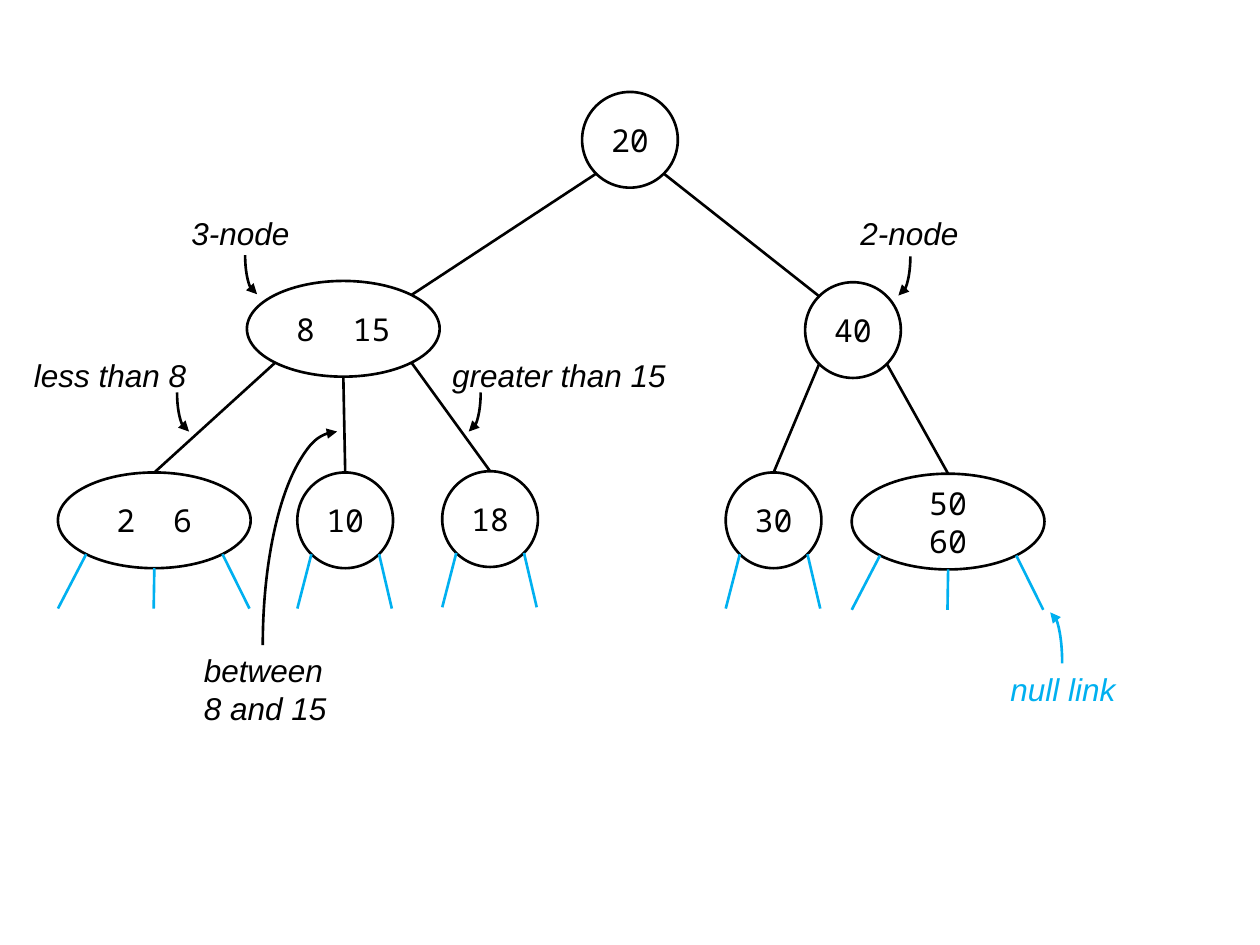
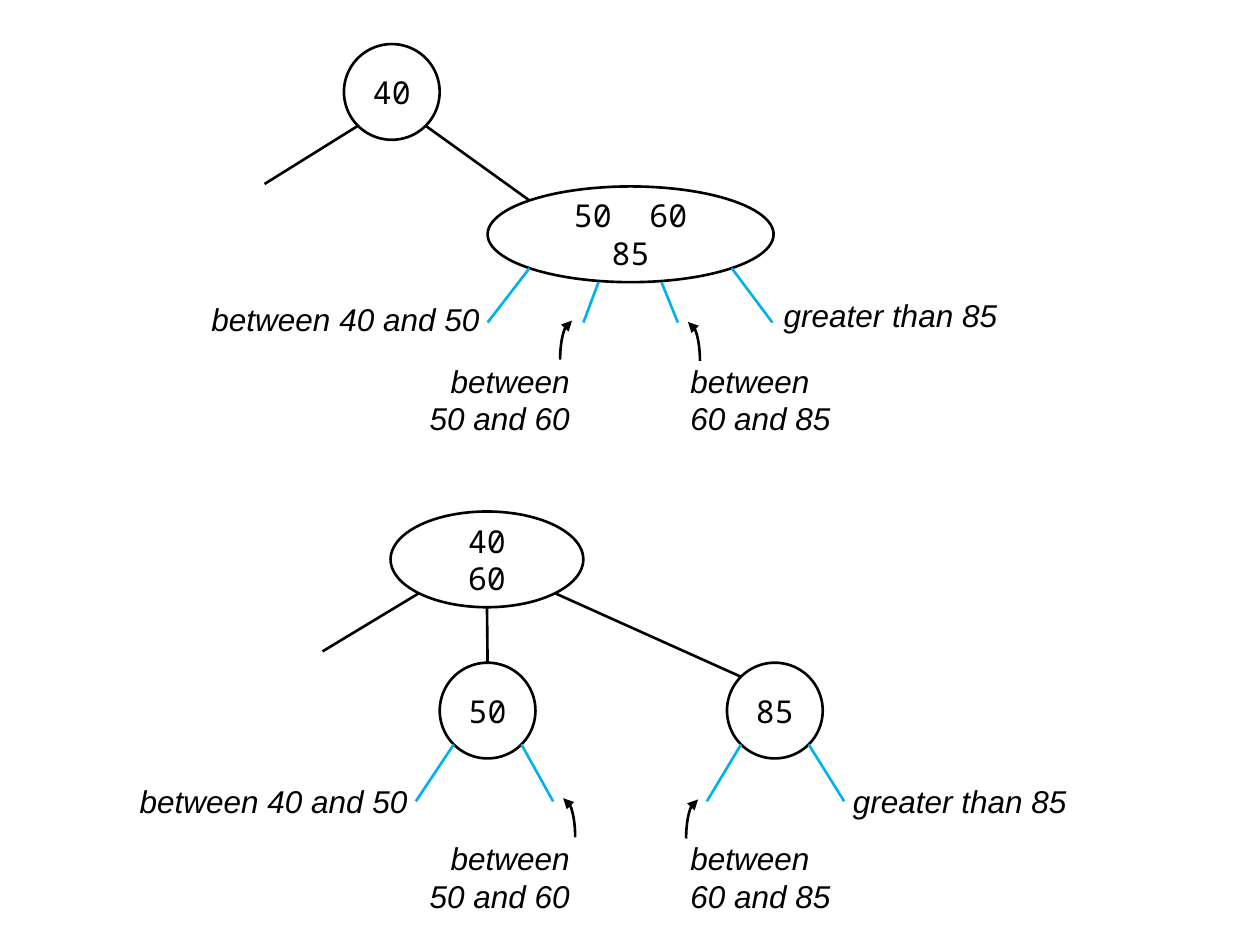
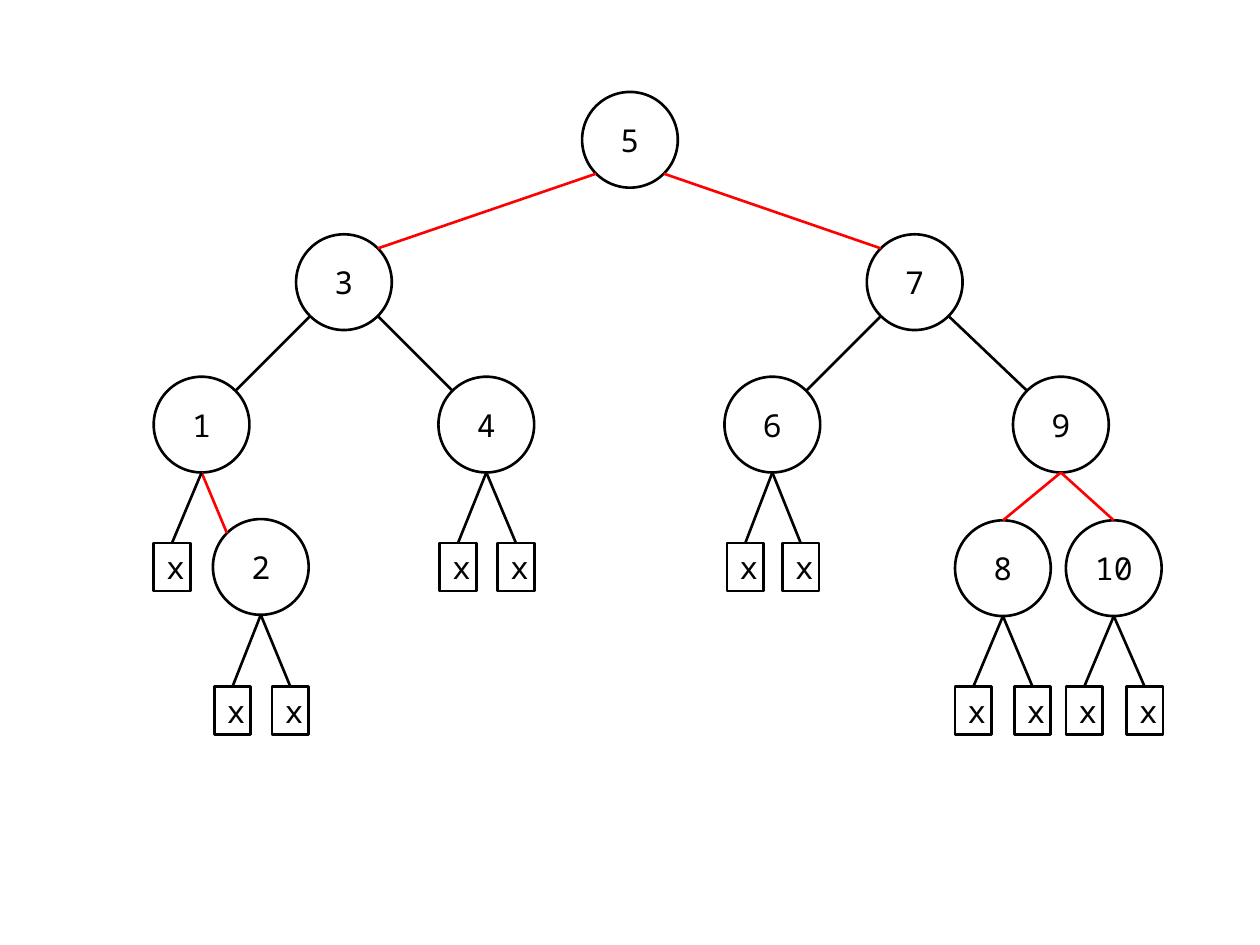
import math

from lxml import etree
from pptx import Presentation
from pptx import util as u
from pptx.dml.color import RGBColor
from pptx.enum import shapes, text
from pptx.oxml import ns

PX = u.Inches(0.01)
BLACK = RGBColor(0x00, 0x00, 0x00)
BLUE = RGBColor(0x00, 0xB0, 0xF0)
RED = RGBColor(0xFF, 0x00, 0x00)

NODE_HEIGHT = 76
NODE_WIDTHS = {1: 76, 2: 153, 3: 227}
LEAF_WIDTH, LEAF_HEIGHT = 29, 38
NULL_DROP = 32
KEY_GAP = 1080  # hundredths of a point added to the space between two keys

NEAR = (1 - math.sqrt(0.5)) / 2
FAR = 1 - NEAR
SITES = {"n": (0.5, 0), "s": (0.5, 1), "nw": (NEAR, NEAR), "ne": (FAR, NEAR),
         "sw": (NEAR, FAR), "se": (FAR, FAR)}

# Rotation and flips of a quarter arc, named by where its arrow goes.
DOWN_RIGHT = (270, "H")
DOWN_LEFT = (90, "")
UP_RIGHT = (90, "HV")
UP_LEFT = (270, "V")


def site_point(shape, site):
    across, down = SITES[site]
    return (round(shape.left + across * shape.width),
            round(shape.top + down * shape.height))


class TreePage:
    """Draws tree diagrams on the current slide in one style."""

    key_font = "Noto Sans Mono"
    label_font = "Arial"
    font_size = u.Pt(18)
    line_width = u.Pt(1.5)

    def __init__(self, deck):
        self.deck = deck
        self.shapes = None

    def new(self):
        self.shapes = self.deck.slides.add_slide(self.deck.slide_layouts[6]).shapes

    def stroke(self, item, color):
        item.line.color.rgb = color
        item.line.width = self.line_width

    def span(self, para, words, font, color=BLACK, italic=None):
        span = para.add_run()
        span.text = words
        span.font.name = font
        span.font.size = self.font_size
        span.font.color.rgb = color
        span.font.italic = italic
        return span

    def outline(self, kind, left, top, width, height, color=BLACK):
        shape = self.shapes.add_shape(kind, left * PX, top * PX, width * PX, height * PX)
        shape.shadow.inherit = False
        shape.fill.background()
        self.stroke(shape, color)
        return shape

    def keyed(self, shape, keys):
        """Write the keys in the middle of a shape, with wide gaps between them."""
        frame = shape.text_frame
        frame.vertical_anchor = text.MSO_ANCHOR.MIDDLE
        para = frame.paragraphs[0]
        para.alignment = text.PP_ALIGN.CENTER
        for index, key in enumerate(keys):
            if index:
                gap = self.span(para, " ", self.key_font)
                gap.font._element.set("spc", str(KEY_GAP))
            self.span(para, key, self.key_font)
        return shape

    def node(self, left, top, *keys):
        oval = self.outline(shapes.MSO_SHAPE.OVAL, left, top,
                            NODE_WIDTHS[len(keys)], NODE_HEIGHT)
        return self.keyed(oval, keys)

    def line(self, begin, end, color):
        connector = self.shapes.add_connector(shapes.MSO_CONNECTOR.STRAIGHT, *begin, *end)
        self.stroke(connector, color)
        etree.SubElement(connector.element.spPr, ns.qn("a:effectLst"))
        return connector

    def edge(self, parent, site, child, child_site="n", color=BLACK):
        connector = self.line(site_point(parent, site), site_point(child, child_site), color)
        if child_site == "n":
            connector.end_connect(child, 0)

    def stub(self, node, site, x, y, color=BLUE):
        """Draw a link from a node to a free point."""
        self.line(site_point(node, site), (x * PX, y * PX), color)

    def null_links(self, node, middle=False):
        left, right = node.left // PX, (node.left + node.width) // PX
        bottom = (node.top + node.height) // PX + NULL_DROP
        self.stub(node, "sw", left, bottom)
        self.stub(node, "se", right - 1, bottom)
        if middle:
            self.stub(node, "s", (left + right) // 2, bottom)

    def leaves(self, parent, top, *lefts):
        for left in lefts:
            leaf = self.outline(shapes.MSO_SHAPE.RECTANGLE, left, top,
                                LEAF_WIDTH, LEAF_HEIGHT)
            self.edge(parent, "s", self.keyed(leaf, ["x"]))

    def label(self, left, top, width, *lines, color=BLACK, right=False):
        height = 40 if len(lines) == 1 else 71
        box = self.shapes.add_textbox(left * PX, top * PX, width * PX, height * PX)
        frame = box.text_frame
        frame.word_wrap = False
        frame.auto_size = text.MSO_AUTO_SIZE.SHAPE_TO_FIT_TEXT
        para = frame.paragraphs[0]
        if right:
            para.alignment = text.PP_ALIGN.RIGHT
        for index, words in enumerate(lines):
            if index:
                para.add_line_break()
            self.span(para, words, self.label_font, color, italic=True)

    def arrow(self, left, top, bend, width=62, height=19, color=BLACK):
        """Draw a quarter arc with an arrowhead, placed by its unrotated frame."""
        arc = self.outline(shapes.MSO_SHAPE.ARC, left, top, width, height, color)
        arc.rotation, flips = bend
        properties = arc.element.spPr
        for axis in flips:
            properties.find(ns.qn("a:xfrm")).set("flip" + axis, "1")
        tip = etree.SubElement(properties.find(ns.qn("a:ln")), ns.qn("a:tailEnd"))
        tip.set("type", "triangle")


def draw_two_three_tree(page):
    page.new()
    root = page.node(462, 73, "20")
    left = page.node(196, 223, "8", "15")
    right = page.node(639, 224, "40")
    low = page.node(46, 375, "2", "6")
    mid = page.node(236, 375, "10")
    high = page.node(351, 374, "18")
    below = page.node(576, 375, "30")
    above = page.node(676, 376, "50", "60")

    page.edge(root, "sw", left, "ne")
    page.edge(root, "se", right, "nw")
    for parent, site, child in ((left, "sw", low), (left, "s", mid), (left, "se", high),
                                (right, "sw", below), (right, "se", above)):
        page.edge(parent, site, child)
    for node in (mid, high, below):
        page.null_links(node)
    for node in (low, above):
        page.null_links(node, middle=True)

    page.label(142, 165, 99, "3-node")
    page.label(673, 165, 99, "2-node")
    page.label(17, 278, 142, "less than 8")
    page.label(349, 278, 191, "greater than 15")
    page.label(152, 512, 118, "between", "8 and 15")
    page.label(792, 527, 104, "null link", color=BLUE)
    page.arrow(173, 193, DOWN_RIGHT)
    page.arrow(682, 194, DOWN_LEFT)
    page.arrow(119, 302, DOWN_RIGHT)
    page.arrow(341, 302, DOWN_LEFT)
    page.arrow(98, 453, UP_RIGHT, 339, 118)
    page.arrow(793, 517, UP_LEFT, 81, color=BLUE)


def draw_split(page):
    page.new()
    parent = page.node(273, 35, "40")
    full = page.node(387, 148, "50", "60", "85")
    page.stub(parent, "sw", 210, 146, BLACK)
    page.edge(parent, "se", full, "nw")
    page.null_links(full)
    for top_x, end_x in ((475, 463), (525, 538)):
        page.line((top_x * PX, 224 * PX), (end_x * PX, 256 * PX), BLUE)

    merged = page.node(310, 406, "40", "60")
    low = page.node(349, 526, "50")
    high = page.node(577, 526, "85")
    page.stub(merged, "sw", 256, 517, BLACK)
    page.edge(merged, "s", low)
    page.edge(merged, "se", high, "nw")
    for node, left, right in ((low, 330, 439), (high, 561, 670)):
        page.stub(node, "sw", left, 636)
        page.stub(node, "se", right, 636)

    page.label(158, 233, 235, "between 40 and 50")
    page.label(612, 230, 191, "greater than 85")
    page.label(101, 616, 235, "between 40 and 50")
    page.label(667, 616, 191, "greater than 85")
    for top in (282, 661):
        page.label(330, top, 132, "between", "50 and 60", right=True)
        page.label(538, top, 132, "between", "60 and 85")
    page.arrow(423, 276, UP_RIGHT)
    page.arrow(515, 277, UP_LEFT)
    page.arrow(416, 655, UP_LEFT)
    page.arrow(523, 656, UP_RIGHT)


def draw_binary_tree(page):
    page.new()
    five = page.node(462, 73, "5")
    three, seven = (page.node(x, 186, key) for x, key in ((235, "3"), (688, "7")))
    one, four, six, nine = (
        page.node(x, 299, key)
        for x, key in ((122, "1"), (348, "4"), (575, "6"), (804, "9")))
    two = page.node(169, 412, "2")
    eight, ten = (page.node(x, 413, key) for x, key in ((758, "8"), (846, "10")))

    for parent, low, high, color in ((five, three, seven, RED),
                                     (three, one, four, BLACK),
                                     (seven, six, nine, BLACK)):
        page.edge(parent, "sw", low, "ne", color)
        page.edge(parent, "se", high, "nw", color)
    page.edge(one, "s", two, "nw", RED)
    for child in (eight, ten):
        page.edge(nine, "s", child, color=RED)

    page.leaves(one, 431, 122)
    page.leaves(four, 431, 349, 395)
    page.leaves(six, 431, 577, 621)
    page.leaves(two, 545, 170, 216)
    page.leaves(eight, 545, 758, 805)
    page.leaves(ten, 545, 846, 894)


def main():
    deck = Presentation()
    deck.slide_width, deck.slide_height = 1000 * PX, 750 * PX
    page = TreePage(deck)
    draw_two_three_tree(page)
    draw_split(page)
    draw_binary_tree(page)
    deck.save("out.pptx")


if __name__ == "__main__":
    main()
